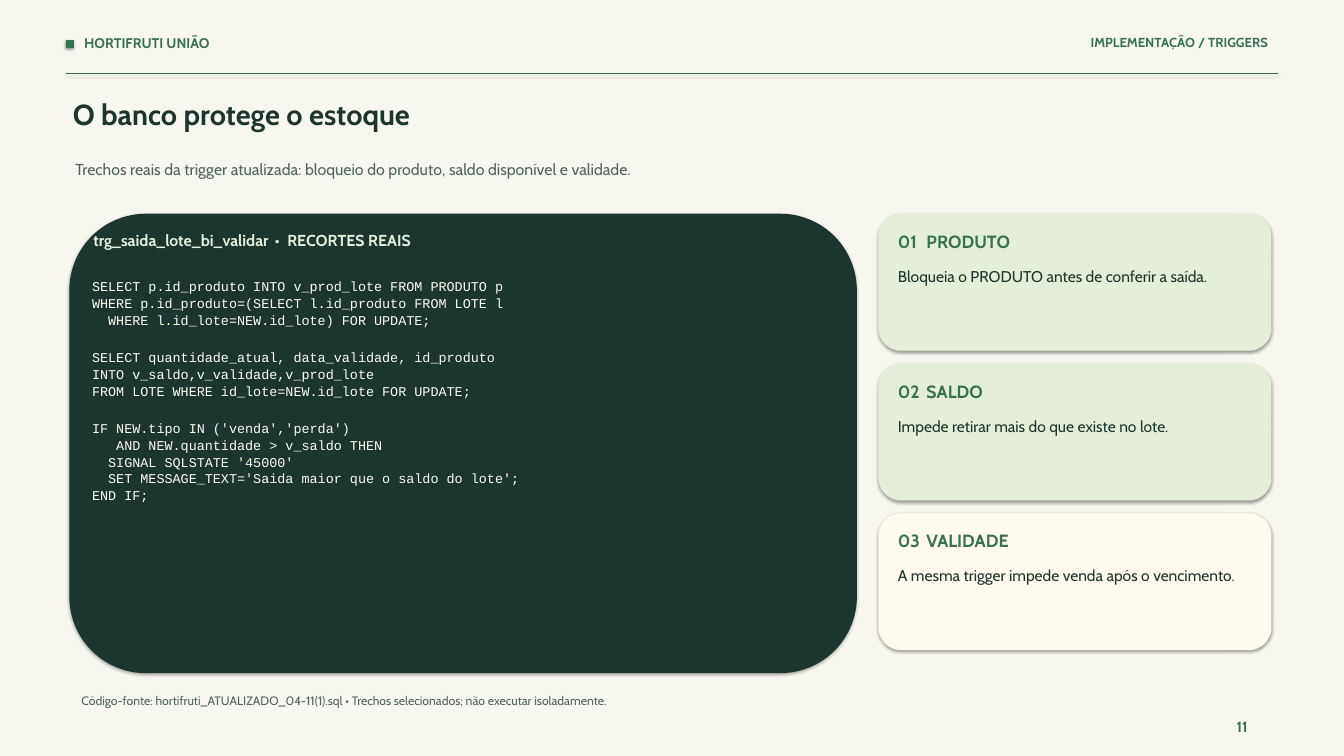
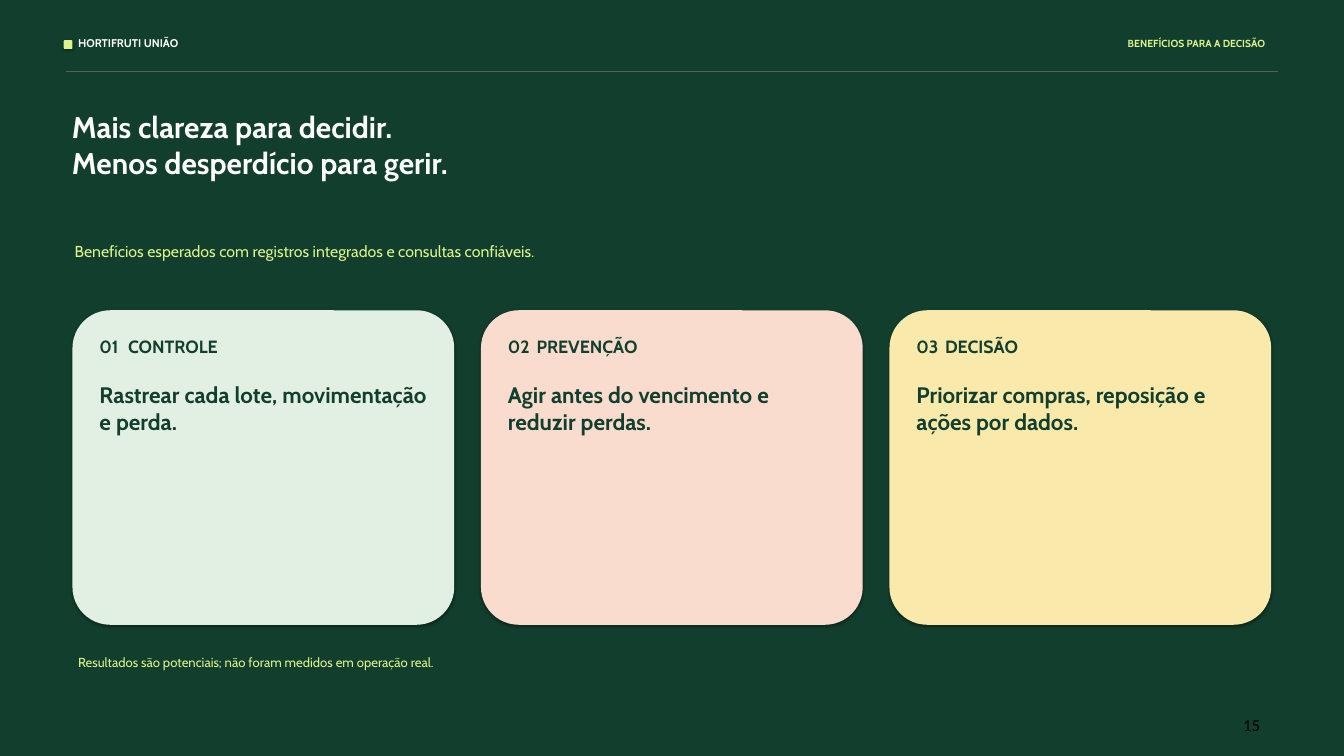
import pptx
import pptx.dml.color
import pptx.enum.shapes
import pptx.enum.text
import pptx.oxml.ns
import pptx.util
from lxml import etree

Cm = pptx.util.Cm
Pt = pptx.util.Pt
RGB = pptx.dml.color.RGBColor
Shape = pptx.enum.shapes.MSO_SHAPE
Align = pptx.enum.text.PP_ALIGN
qn = pptx.oxml.ns.qn

IVORY = RGB(0xF7, 0xF7, 0xEF)
GREEN = RGB(0x37, 0x71, 0x4F)
INK = RGB(0x1D, 0x35, 0x2F)
GREY = RGB(0x50, 0x66, 0x5B)
SAGE = RGB(0xE5, 0xEE, 0xD9)
CREAM = RGB(0xFF, 0xF9, 0xEE)
FOREST = RGB(0x12, 0x3E, 0x2D)
LIME = RGB(0xDC, 0xF4, 0x8C)
MOSS = RGB(0x53, 0x63, 0x58)
MINT = RGB(0xE2, 0xF0, 0xE3)
PEACH = RGB(0xF9, 0xDC, 0xCE)
YELLOW = RGB(0xF9, 0xE9, 0xAB)
WHITE = RGB(0xFF, 0xFF, 0xFF)
BLACK = RGB(0, 0, 0)

FONT = "Cabin"
CODE_FONT = "Courier New"
RULE_LEFT, RULE_RIGHT = 2.49, 48.31
HEADING_TAB = 1.08

CODE_BLOCKS = [
    ["SELECT p.id_produto INTO v_prod_lote FROM PRODUTO p",
     "WHERE p.id_produto=(SELECT l.id_produto FROM LOTE l",
     "  WHERE l.id_lote=NEW.id_lote) FOR UPDATE;"],
    ["SELECT quantidade_atual, data_validade, id_produto",
     "INTO v_saldo,v_validade,v_prod_lote",
     "FROM LOTE WHERE id_lote=NEW.id_lote FOR UPDATE;"],
    ["IF NEW.tipo IN ('venda','perda')",
     "   AND NEW.quantidade > v_saldo THEN",
     "  SIGNAL SQLSTATE '45000'",
     "  SET MESSAGE_TEXT='Saida maior que o saldo do lote';",
     "END IF;"],
]

CHECKS = [
    ("PRODUTO", "Bloqueia o PRODUTO antes de conferir a saída.", SAGE),
    ("SALDO", "Impede retirar mais do que existe no lote.", SAGE),
    ("VALIDADE", "A mesma trigger impede venda após o vencimento.", CREAM),
]

BENEFITS = [
    ("CONTROLE", "Rastrear cada lote, movimentação e perda.", MINT),
    ("PREVENÇÃO", "Agir antes do vencimento e reduzir perdas.", PEACH),
    ("DECISÃO", "Priorizar compras, reposição e ações por dados.", YELLOW),
]


class Deck:
    def __init__(self):
        self.prs = pptx.Presentation()
        self.prs.slide_width = Cm(50.8)
        self.prs.slide_height = Cm(28.58)
        self.s = None
        self.inset = (0, 0)

    def new_slide(self, background, inset):
        self.s = self.prs.slides.add_slide(self.prs.slide_layouts[5])
        self.s.background.fill.solid()
        self.s.background.fill.fore_color.rgb = background
        self.inset = inset

    def frame(self, sp, inset=None):
        tf = sp.text_frame
        tf.word_wrap = True
        tf.auto_size = pptx.enum.text.MSO_AUTO_SIZE.SHAPE_TO_FIT_TEXT
        tf.vertical_anchor = pptx.enum.text.MSO_ANCHOR.TOP
        across, down = inset or self.inset
        tf.margin_left = tf.margin_right = Cm(across)
        tf.margin_top = tf.margin_bottom = Cm(down)
        return tf

    def paragraph(self, tf, text, size, color, bold=False, font=FONT,
                  align=Align.LEFT, first=True):
        p = tf.paragraphs[0] if first else tf.add_paragraph()
        p.alignment = align
        r = p.add_run()
        r.text = text
        r.font.name = font
        r.font.size = Pt(size)
        r.font.bold = bold
        r.font.color.rgb = color
        return p

    def text(self, at, text, size, color, tabs=(), **style):
        sp = self.s.shapes.add_textbox(*map(Cm, at))
        p = self.paragraph(self.frame(sp), text, size, color, **style)
        if tabs:
            tab_list = etree.SubElement(p._p.get_or_add_pPr(), qn("a:tabLst"))
            for stop in tabs:
                etree.SubElement(tab_list, qn("a:tab"), pos=str(Cm(stop)), algn="l")

    def title(self, at, lines, size, color):
        sp = self.s.shapes.title
        sp.left, sp.top, sp.width, sp.height = map(Cm, at)
        tf = self.frame(sp)
        for i, line in enumerate(lines):
            self.paragraph(tf, line, size, color, bold=True, first=i == 0)

    def code(self, at, blocks, size, color):
        sp = self.s.shapes.add_textbox(*map(Cm, at))
        tf = self.frame(sp, (0.03, 0.03))
        tf.word_wrap = False
        for b, block in enumerate(blocks):
            for i, line in enumerate(block):
                p = self.paragraph(tf, line, size, color, font=CODE_FONT,
                                   first=b == i == 0)
                p.line_spacing = 1.05
                if b and i == 0:
                    p.space_before = Pt(21.4)

    def box(self, at, fill, shape=Shape.ROUNDED_RECTANGLE, corner=None):
        sp = self.s.shapes.add_shape(shape, *map(Cm, at))
        sp.fill.solid()
        sp.fill.fore_color.rgb = fill
        sp.line.fill.background()
        if corner is not None:
            sp.adjustments[0] = corner

    def rule(self, y, color, width):
        line = self.s.shapes.add_connector(
            pptx.enum.shapes.MSO_CONNECTOR.STRAIGHT,
            Cm(RULE_LEFT), Cm(y), Cm(RULE_RIGHT), Cm(y))
        line.line.color.rgb = color
        line.line.width = Pt(width)

    def header(self, brand_at, brand_size, brand_color,
               section_at, section, section_size, section_color):
        self.text(brand_at, "HORTIFRUTI UNIÃO", brand_size, brand_color, bold=True)
        self.text(section_at, section, section_size, section_color,
                  bold=True, align=Align.RIGHT)

    def card(self, at, number, heading, fill, heading_box, heading_color,
             body, body_box, body_size, body_color, bold=False, corner=None):
        def inside(part):
            return (at[0] + part[0], at[1] + part[1], part[2], part[3])

        self.box(at, fill, corner=corner)
        self.text(inside(heading_box), f"{number:02d}\t{heading}", 19,
                  heading_color, tabs=[HEADING_TAB], bold=True)
        self.text(inside(body_box), body, body_size, body_color, bold=bold)


def trigger_slide(deck):
    deck.new_slide(IVORY, (0.13, 0.03))
    deck.box((2.49, 1.52, 0.3, 0.3), GREEN, Shape.RECTANGLE)
    deck.header((3.05, 1.27, 14.73, 0.89), 15, GREEN,
                (34.04, 1.27, 14.02, 0.89), "IMPLEMENTAÇÃO / TRIGGERS", 14, GREEN)
    deck.rule(2.77, GREEN, 1.44)
    deck.title((2.62, 3.61, 45.72, 1.9), ["O banco protege o estoque"], 31, INK)
    deck.text((2.72, 5.99, 45.21, 1.27),
              "Trechos reais da trigger atualizada: bloqueio do produto, "
              "saldo disponível e validade.", 17, GREY)

    deck.box((2.62, 8.08, 29.77, 17.37), INK)
    deck.text((3.4, 8.69, 28.14, 1.02),
              "trg_saida_lote_bi_validar\t•\tRECORTES REAIS", 17, SAGE,
              tabs=[6.86, 7.33], bold=True)
    deck.code((3.45, 10.46, 28.45, 14.05), CODE_BLOCKS, 14.4, CREAM)

    for i, (heading, body, fill) in enumerate(CHECKS):
        deck.card((33.2, 8.08 + i * 5.66, 14.86, 5.18), i + 1, heading, fill,
                  (0.61, 0.61, 13.51, 1.09), GREEN,
                  body, (0.61, 1.98, 13.31, 2.67), 16.7, INK)

    deck.text((2.95, 26.19, 44.83, 0.79),
              "Código-fonte: hortifruti_ATUALIZADO_04-11(1).sql • "
              "Trechos selecionados; não executar isoladamente.", 13.1, GREY)
    deck.text((46.61, 27.1, 1.65, 0.89), "11", 16, GREEN, bold=True)


def benefits_slide(deck):
    deck.new_slide(FOREST, (0.05, 0.05))
    deck.box((2.41, 1.52, 0.33, 0.33), LIME, corner=0.12)
    deck.header((2.9, 1.32, 12.7, 0.89), 12, WHITE,
                (38.35, 1.35, 9.53, 0.84), "BENEFÍCIOS PARA A DECISÃO", 11, LIME)
    deck.rule(2.71, MOSS, 0.72)
    deck.title((2.67, 4.06, 45.21, 3),
               ["Mais clareza para decidir.", "Menos desperdício para gerir."],
               32, WHITE)
    deck.text((2.77, 9.09, 45.21, 1.4),
              "Benefícios esperados com registros integrados e consultas confiáveis.",
              17, LIME)

    for i, (heading, body, fill) in enumerate(BENEFITS):
        deck.card((2.74 + i * 15.44, 11.73, 14.43, 11.89), i + 1, heading, fill,
                  (0.97, 0.91, 12.5, 1.07), FOREST,
                  body, (0.97, 2.62, 12.6, 8.71), 24, FOREST,
                  bold=True, corner=0.12)

    deck.text((2.9, 24.71, 44.2, 1.14),
              "Resultados são potenciais; não foram medidos em operação real.",
              14, LIME)
    deck.text((46.94, 26.97, 1.27, 0.81), "15", 18, BLACK, font="Calibri")


def main():
    deck = Deck()
    trigger_slide(deck)
    benefits_slide(deck)
    deck.prs.save("out.pptx")


if __name__ == "__main__":
    main()
